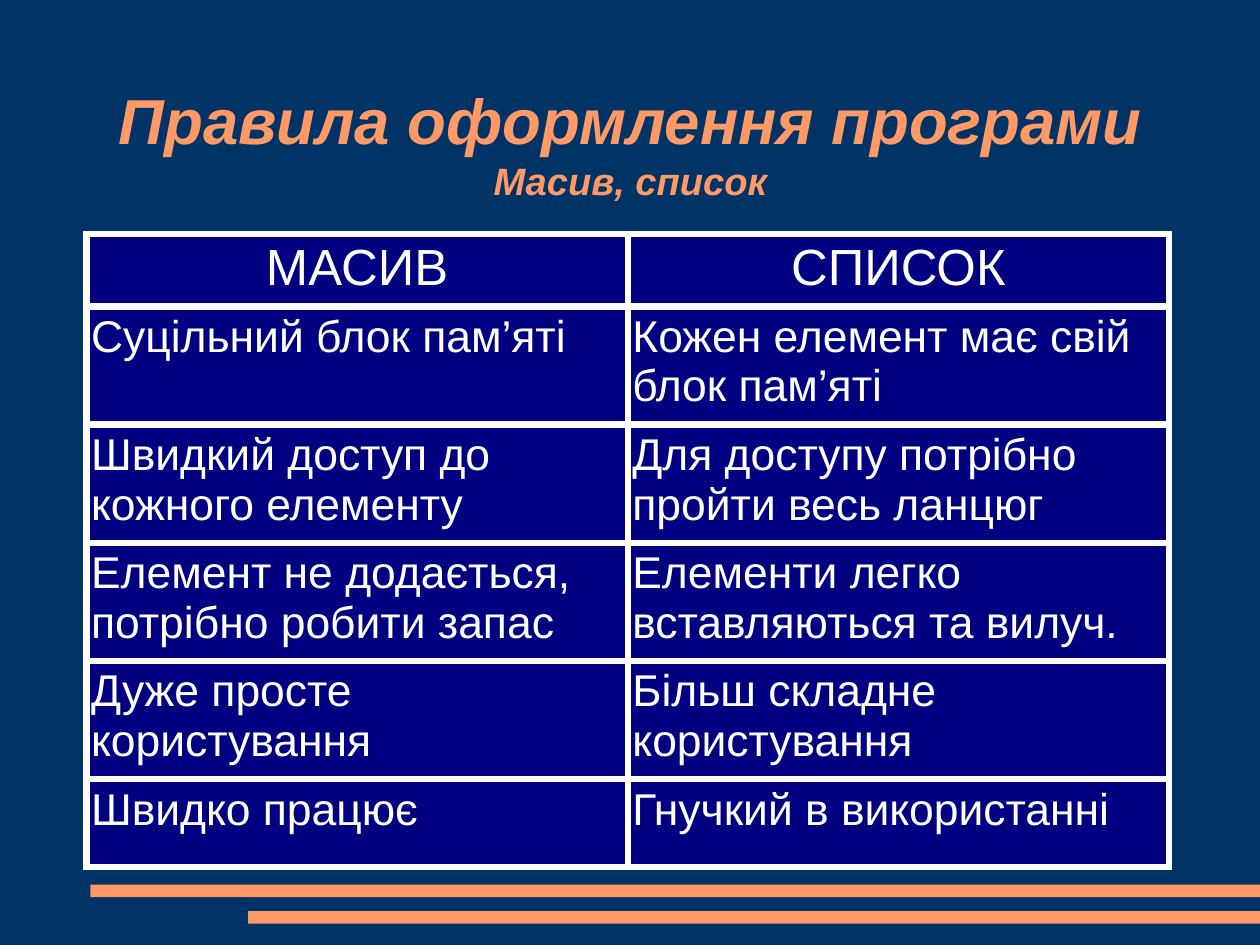
from lxml import etree
from pptx import Presentation
from pptx.dml.color import RGBColor
from pptx.enum import shapes, text
from pptx.oxml import ns
from pptx.util import Pt

# Content
TITLE = [("Правила оформлення програми", 40), ("Масив, список", 24)]
ROWS = [
    ("МАСИВ", "СПИСОК"),
    ("Суцільний блок пам’яті", "Кожен елемент має свій блок пам’яті"),
    ("Швидкий доступ до кожного елементу", "Для доступу потрібно пройти весь ланцюг"),
    ("Елемент не додається, потрібно робити запас",
     "Елементи легко вставляються та вилуч."),
    ("Дуже просте користування", "Більш складне користування"),
    ("Швидко працює", "Гнучкий в використанні"),
]

# Layout in points
PAGE_W, PAGE_H = 793.7, 595.28
BARS = [(57, 557.3), (156.3, 573.9)]  # left, top; each runs to the right edge
BAR_H = 7.9
TITLE_BOX = (58.3, 22.3, 677.5, 133.9)
TABLE_LEFT, TABLE_TOP, COLUMN_W = 54.5, 147.4, 341
ROW_HEIGHTS = [42.5] + [69.8] * 4 + [55.4]
BORDER_W = 4.54

FONT = "Arial"
NAVY, ORANGE, CELL_BLUE, WHITE = "003366", "FF9966", "000080", "FFFFFF"


def paint(fill, color):
    fill.solid()
    fill.fore_color.rgb = RGBColor.from_string(color)


def style_font(font, color, size):
    font.name = FONT
    font.color.rgb = RGBColor.from_string(color)
    font.size = Pt(size)


def add_borders(cell):
    properties = cell._tc.get_or_add_tcPr()
    for index, side in enumerate(("lnL", "lnR", "lnT", "lnB")):
        line = etree.Element(ns.qn(f"a:{side}"), w=str(int(Pt(BORDER_W))))
        solid = etree.SubElement(line, ns.qn("a:solidFill"))
        etree.SubElement(solid, ns.qn("a:srgbClr"), val=WHITE)
        properties.insert(index, line)


def add_bars(page):
    for left, top in BARS:
        bar = page.shapes.add_shape(shapes.MSO_SHAPE.RECTANGLE, Pt(left), Pt(top),
                                    Pt(PAGE_W - left), Pt(BAR_H))
        bar.shadow.inherit = False
        paint(bar.fill, ORANGE)
        bar.line.fill.background()


def add_title(page):
    box = page.shapes.add_textbox(*map(Pt, TITLE_BOX))
    frame = box.text_frame
    frame.word_wrap = True
    frame.vertical_anchor = text.MSO_ANCHOR.MIDDLE
    frame.margin_left = frame.margin_right = 0
    frame.margin_top = frame.margin_bottom = 0
    para = frame.paragraphs[0]
    para.alignment = text.PP_ALIGN.CENTER
    for index, (words, size) in enumerate(TITLE):
        if index:
            para.add_line_break()
        span = para.add_run()
        span.text = words
        style_font(span.font, ORANGE, size)
        span.font.bold = span.font.italic = True


def add_comparison(page):
    columns = len(ROWS[0])
    table = page.shapes.add_table(
        len(ROWS), columns, Pt(TABLE_LEFT), Pt(TABLE_TOP),
        Pt(COLUMN_W * columns), Pt(sum(ROW_HEIGHTS))).table
    table.first_row = table.horz_banding = False
    for column in table.columns:
        column.width = Pt(COLUMN_W)
    for r, row in enumerate(ROWS):
        table.rows[r].height = Pt(ROW_HEIGHTS[r])
        for c, words in enumerate(row):
            cell = table.cell(r, c)
            cell.margin_left = cell.margin_right = Pt(2.9)
            cell.margin_top = cell.margin_bottom = Pt(3.6)
            paint(cell.fill, CELL_BLUE)
            add_borders(cell)
            cell.text = words
            para = cell.text_frame.paragraphs[0]
            para.alignment = text.PP_ALIGN.LEFT if r else text.PP_ALIGN.CENTER
            style_font(para.font, WHITE, 28 if r else 32)


def main():
    deck = Presentation()
    deck.slide_width, deck.slide_height = Pt(PAGE_W), Pt(PAGE_H)
    page = deck.slides.add_slide(deck.slide_layouts[6])
    paint(page.background.fill, NAVY)
    add_bars(page)
    add_title(page)
    add_comparison(page)
    deck.save("out.pptx")


if __name__ == "__main__":
    main()
